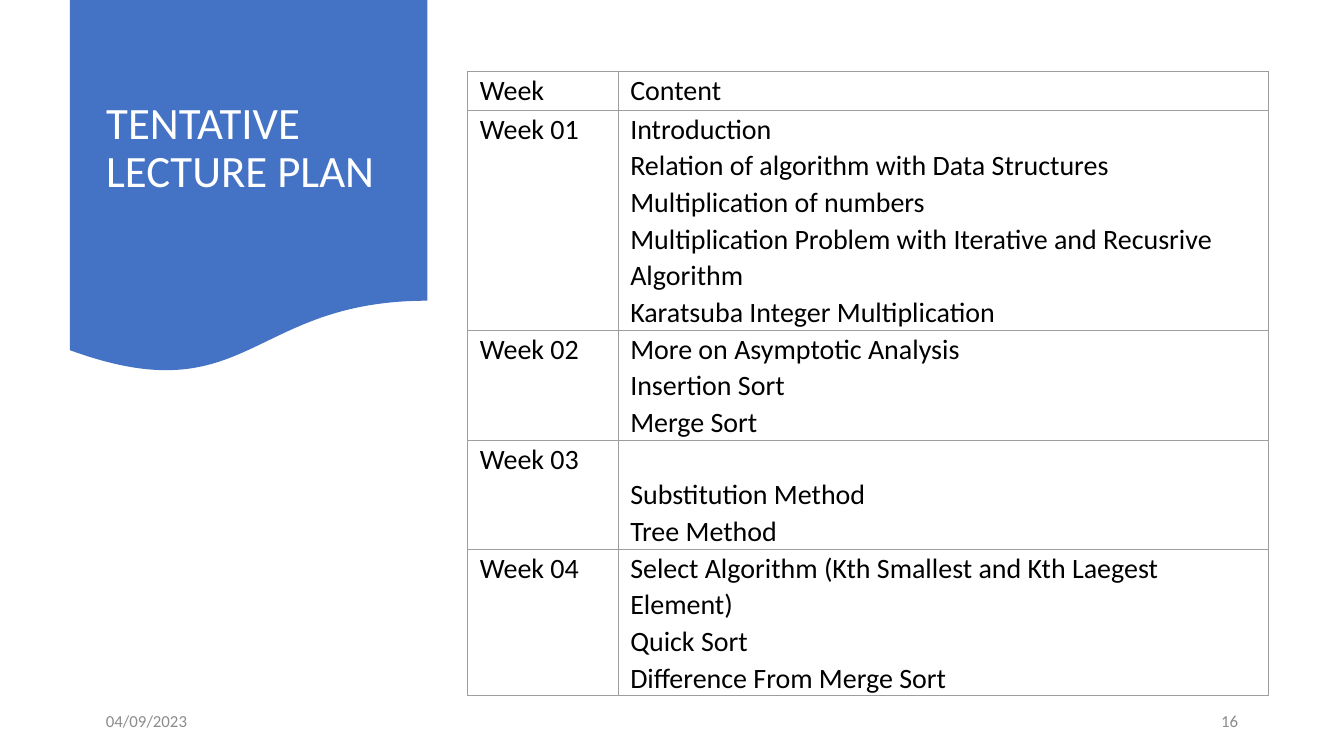
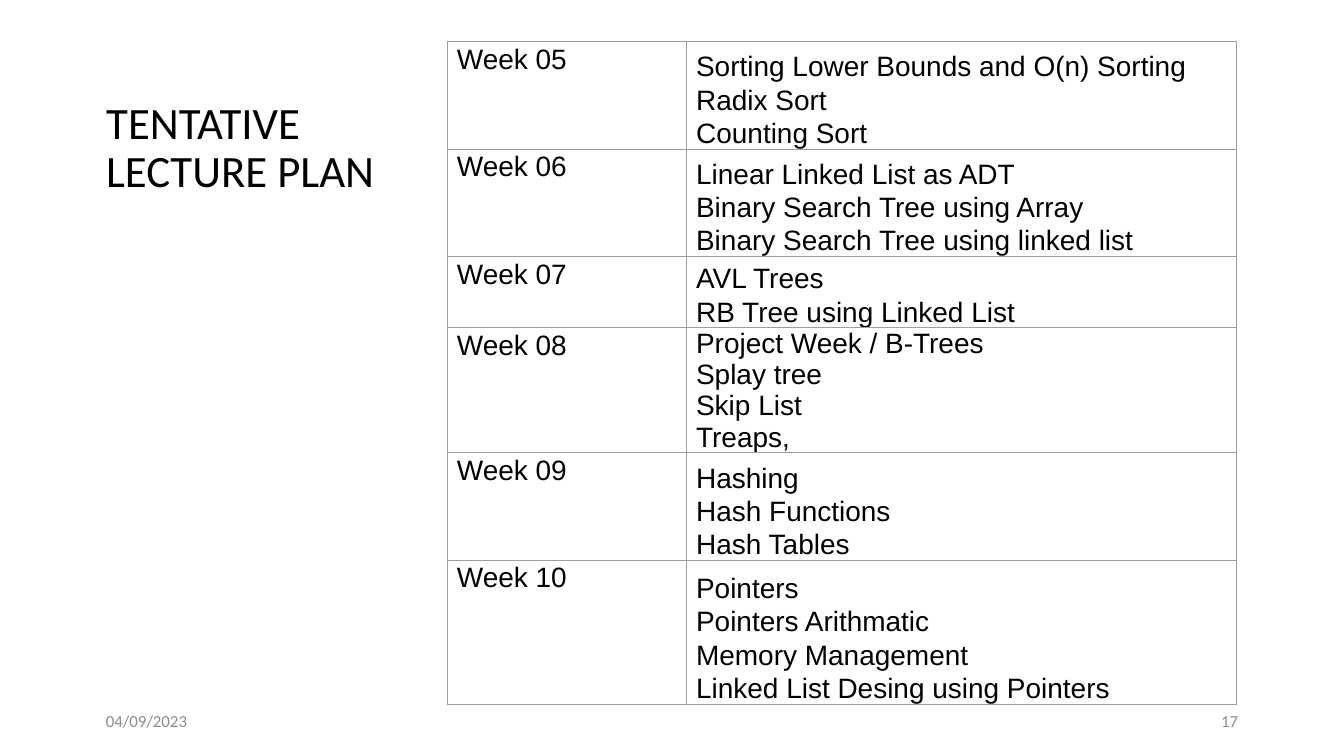
import pptx
import pptx.util
from lxml import etree
from pptx.dml.color import RGBColor
from pptx.enum.shapes import MSO_SHAPE
from pptx.enum.text import MSO_ANCHOR, MSO_AUTO_SIZE, PP_ALIGN
from pptx.oxml.ns import qn
from pptx.util import Inches

BLUE = RGBColor(0x44, 0x72, 0xC4)
WHITE = RGBColor(0xFF, 0xFF, 0xFF)
BLACK = RGBColor(0, 0, 0)
GREY = RGBColor(0x8C, 0x8C, 0x8C)
BORDER = RGBColor(0x9E, 0x9E, 0x9E)

TITLE = "TENTATIVE LECTURE PLAN"
DATE = "04/09/2023"
TITLE_BOX = (0.69, 0.14, 2.33, 1.94)
BANNER_BOX = (0.52, 0, 2.66, 2.79)
DATE_BOX = (0.69, 5.21, 2.25, 0.3)
NUMBER_BOX = (7.06, 5.21, 2.25, 0.3)
CELL_SIZE = 15

# Each row: height, week, paragraphs of the content cell
FIRST_WEEKS = [
    (0.29, "Week", ["Content"]),
    (1.59, "Week 01", ["Introduction\nRelation of algorithm with Data Structures\n"
                       "Multiplication of numbers\n"
                       "Multiplication Problem with Iterative and Recusrive Algorithm\n"
                       "Karatsuba Integer Multiplication"]),
    (0.81, "Week 02", ["More on Asymptotic Analysis\nInsertion Sort\nMerge Sort"]),
    (0.81, "Week 03", ["Substitution Method\nTree Method"]),
    (1.07, "Week 04", ["Select Algorithm (Kth Smallest and Kth Laegest Element)\n"
                       "Quick Sort\nDifference From Merge Sort"]),
]
LATER_WEEKS = [
    (0.8, "Week 05", ["Sorting Lower Bounds and O(n) Sorting\nRadix Sort\nCounting Sort"]),
    (0.8, "Week 06", ["Linear Linked List as ADT\nBinary Search Tree using Array\n"
                      "Binary Search Tree using linked list"]),
    (0.53, "Week 07", ["AVL Trees\nRB Tree using Linked List"]),
    (0.93, "Week 08", ["Project Week / B-Trees\nSplay tree", "Skip List", "Treaps,"]),
    (0.8, "Week 09", ["Hashing\nHash Functions\nHash Tables"]),
    (1.07, "Week 10", ["Pointers\nPointers Arithmatic\nMemory Management\n"
                       "Linked List Desing using Pointers"]),
]


def apply(target, formats):
    for name, value in formats.items():
        setattr(target, name, value)


def inches(box):
    return [Inches(v) for v in box]


def write(p, text, size, font, color, **formats):
    """Fill one paragraph; line breaks take the size of the text."""
    p.text = text
    apply(p, formats)
    for r in p.runs:
        apply(r.font, {"size": pptx.util.Pt(size), "name": font})
        r.font.color.rgb = color
    for br in p._p.findall(qn("a:br")):
        etree.SubElement(br, qn("a:rPr")).set("sz", str(size * 100))


def add_banner(s, box):
    sp = s.shapes.add_shape(MSO_SHAPE.FLOWCHART_DOCUMENT, *inches(box))
    sp.shadow.inherit = False
    sp.fill.solid()
    sp.fill.fore_color.rgb = BLUE
    sp.line.fill.background()
    s.shapes._spTree.insert(2, sp._element)  # behind the title


def add_title(s, box, color):
    sp = s.shapes.title
    apply(sp, dict(zip(("left", "top", "width", "height"), inches(box))))
    tf = sp.text_frame
    apply(tf, {"word_wrap": True, "auto_size": MSO_AUTO_SIZE.NONE,
               "vertical_anchor": MSO_ANCHOR.MIDDLE})
    write(tf.paragraphs[0], TITLE, 24, "Calibri", color, alignment=PP_ALIGN.LEFT,
          line_spacing=0.9, space_after=pptx.util.Pt(6))


def add_footer(s, box, text, alignment):
    tf = s.shapes.add_textbox(*inches(box)).text_frame
    apply(tf, {"word_wrap": True, "vertical_anchor": MSO_ANCHOR.MIDDLE})
    write(tf.paragraphs[0], text, 9, "Calibri", GREY, alignment=alignment)


def add_borders(cell):
    tcPr = cell._tc.get_or_add_tcPr()
    for i, side in enumerate(("lnL", "lnR", "lnT", "lnB")):
        ln = etree.Element(qn("a:" + side), w=str(pptx.util.Pt(0.75)))
        fill = etree.SubElement(ln, qn("a:solidFill"))
        etree.SubElement(fill, qn("a:srgbClr")).set("val", str(BORDER))
        tcPr.insert(i, ln)


def fill_cell(cell, paragraphs, font, inset, anchor):
    apply(cell, {"margin_left": Inches(inset), "margin_right": Inches(inset),
                 "margin_top": 0, "margin_bottom": 0, "vertical_anchor": anchor})
    cell.fill.background()
    add_borders(cell)
    tf = cell.text_frame
    spacing = 1.07 if len(paragraphs) == 1 else 1.0
    for i, text in enumerate(paragraphs):
        p = tf.add_paragraph() if i else tf.paragraphs[0]
        write(p, text, CELL_SIZE, font, BLACK, line_spacing=spacing)


def add_plan(s, left, top, widths, weeks, font, inset):
    height = sum(week[0] for week in weeks)
    box = inches((left, top, sum(widths), height))
    table = s.shapes.add_table(len(weeks), len(widths), *box).table
    apply(table, {"first_row": False, "horz_banding": False})
    for column, width in zip(table.columns, widths):
        column.width = Inches(width)
    for i, (row_height, week, content) in enumerate(weeks):
        table.rows[i].height = Inches(row_height)
        anchor = MSO_ANCHOR.BOTTOM if week != "Week" else MSO_ANCHOR.TOP
        fill_cell(table.cell(i, 0), [week], font, inset, MSO_ANCHOR.TOP)
        fill_cell(table.cell(i, 1), content, font, inset, anchor)


def add_plan_slide(prs, number, title_color, banner, **plan):
    s = prs.slides.add_slide(prs.slide_layouts[5])
    if banner:
        add_banner(s, BANNER_BOX)
    add_title(s, TITLE_BOX, title_color)
    add_plan(s, **plan)
    add_footer(s, DATE_BOX, DATE, PP_ALIGN.LEFT)
    add_footer(s, NUMBER_BOX, str(number), PP_ALIGN.RIGHT)


def main():
    prs = pptx.Presentation()
    # 16:9 page
    apply(prs, {"slide_width": Inches(10), "slide_height": Inches(10 * 9 / 16)})
    add_plan_slide(prs, 16, WHITE, True, left=3.48, top=0.53, widths=(1.12, 4.84),
                   weeks=FIRST_WEEKS, font="Calibri", inset=0.09)
    add_plan_slide(prs, 17, BLACK, False, left=3.33, top=0.31, widths=(1.78, 4.09),
                   weeks=LATER_WEEKS, font="Arial", inset=0.07)
    prs.save("out.pptx")


if __name__ == "__main__":
    main()
